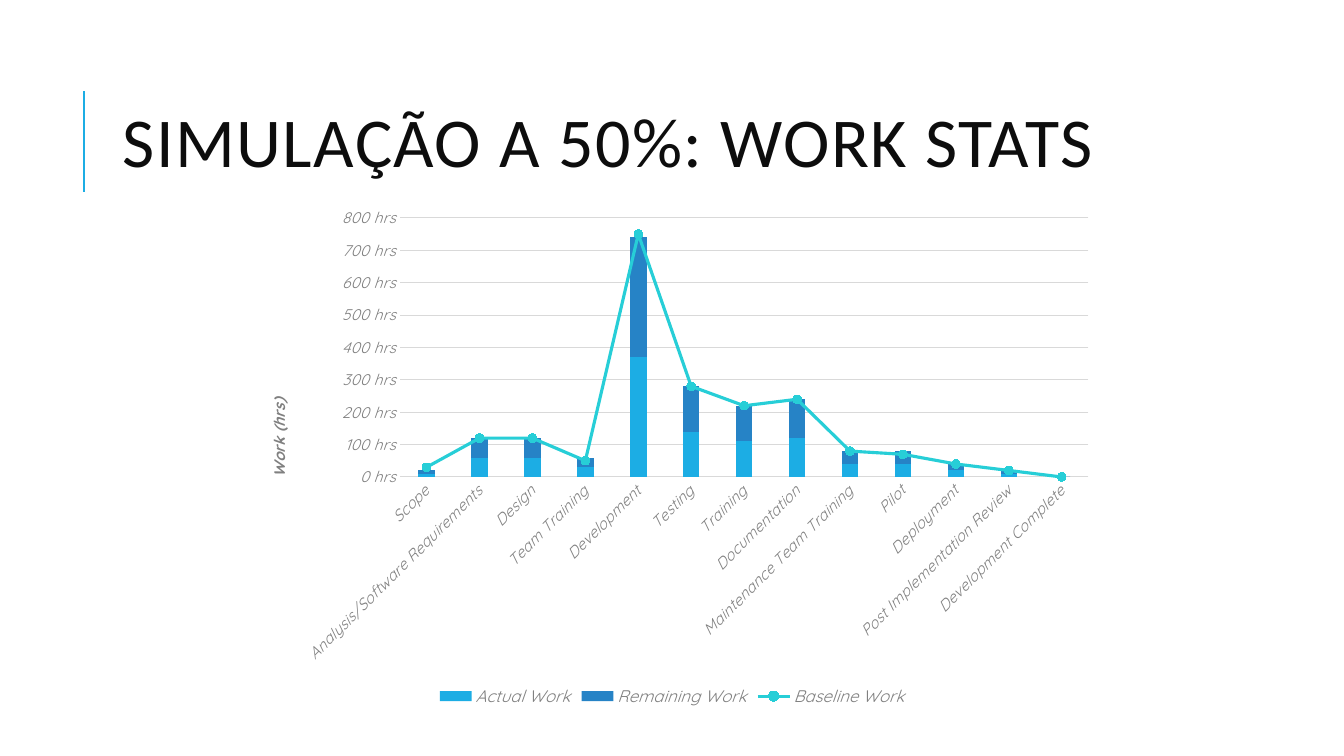
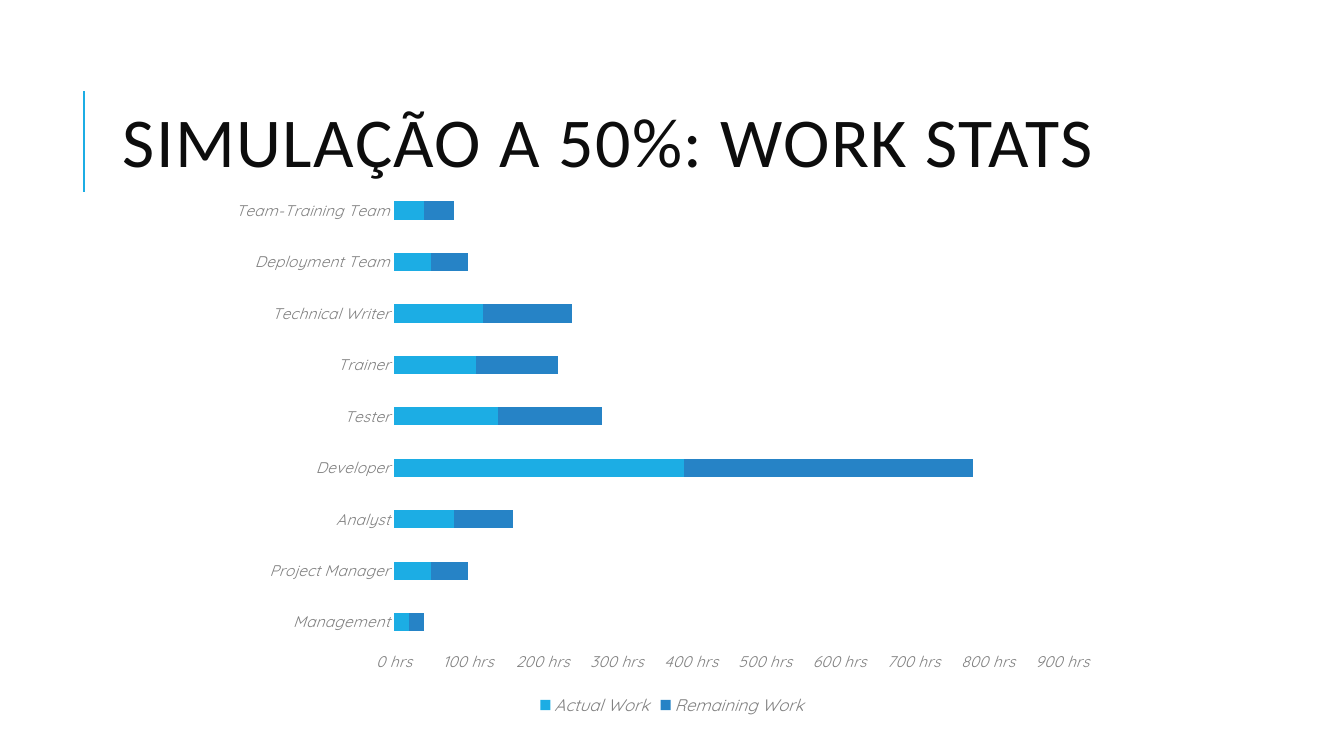
import lxml.etree
import pptx
import pptx.chart.data
import pptx.dml.color
import pptx.enum.chart
import pptx.enum.shapes
import pptx.enum.text
import pptx.oxml
import pptx.oxml.ns
import pptx.util
from dataclasses import dataclass

Pt = pptx.util.Pt
qn = pptx.oxml.ns.qn
rgb = pptx.dml.color.RGBColor.from_string
chart_types = pptx.enum.chart.XL_CHART_TYPE


@dataclass(frozen=True)
class Theme:
    title_color: str = "0D0D0D"
    label_color: str = "808080"
    grid_color: str = "D9D9D9"
    accent: str = "1CADE4"
    remaining: str = "2683C6"
    baseline: str = "27CED7"
    title_font: str = "Calibri"
    chart_font: str = "Quicksand"
    title_size: int = 50
    axis_size: int = 11
    legend_size: int = 12


theme = Theme()
title_text = "SIMULAÇÃO A 50%: WORK STATS"
hours_format = '#,##0_ "hrs"'

# Content of the two slides; plot areas are fractions of the chart frame
phase_hours = [10, 60, 60, 30, 370, 140, 110, 120, 40, 40, 20, 10, 0]
role_hours = [20, 50, 80, 390, 140, 110, 120, 50, 40]
pages = [
    dict(
        kind=chart_types.COLUMN_STACKED,
        frame=(170.6, 141.8, 619.2, 365.8),
        plot_area=dict(x=0.186, y=0.038, w=0.794, h=0.506),
        maximum=800, gap=219, axis_title="Work (hrs)", label_turn=-45,
        categories=["Scope", "Analysis/Software Requirements", "Design",
                    "Team Training", "Development", "Testing", "Training",
                    "Documentation", "Maintenance Team Training", "Pilot",
                    "Deployment", "Post Implementation Review",
                    "Development Complete"],
        series={"Actual Work": phase_hours, "Remaining Work": phase_hours,
                "Baseline Work": [30, 120, 120, 50, 750, 280, 220, 240,
                                  80, 70, 40, 20, 0]},
    ),
    dict(
        kind=chart_types.BAR_STACKED,
        frame=(168.5, 123.8, 622.8, 390.2),
        plot_area=dict(x=0.181, y=0.021, w=0.767, h=0.848),
        maximum=900, gap=182, axis_title=None, label_turn=0,
        categories=["Management", "Project Manager", "Analyst", "Developer",
                    "Tester", "Trainer", "Technical Writer",
                    "Deployment Team", "Team-Training Team"],
        series={"Actual Work": role_hours, "Remaining Work": role_hours},
    ),
]


def style_font(font, size):
    font.name = theme.chart_font
    font.size = Pt(size)
    font.italic = True
    font.color.rgb = rgb(theme.label_color)


def manual_layout(target, **fractions):
    """Place a plot area (x, y, w, h) or a title (x, y) inside its chart."""
    for old in target.findall(qn("c:layout")):
        target.remove(old)
    layout = pptx.oxml.parse_xml(
        f'<c:layout {pptx.oxml.ns.nsdecls("c")}><c:manualLayout/></c:layout>')
    settings = {"xMode": "edge", "yMode": "edge", **fractions}
    if "w" in fractions:
        settings = {"layoutTarget": "inner", **settings}
    for name, value in settings.items():
        lxml.etree.SubElement(layout[0], qn(f"c:{name}")).set("val", str(value))
    text = target.find(qn("c:tx"))
    target.insert(0 if text is None else target.index(text) + 1, layout)


deck = pptx.Presentation()
deck.slide_width, deck.slide_height = Pt(960), Pt(540)

for content in pages:
    page = deck.slides.add_slide(deck.slide_layouts[5])

    # Accent line beside the title
    rule = page.shapes.add_connector(
        pptx.enum.shapes.MSO_CONNECTOR.STRAIGHT, Pt(60), Pt(136.8), Pt(60), Pt(64.8))
    rule.line.color.rgb = rgb(theme.accent)
    rule.line.width = Pt(1.5)
    lxml.etree.SubElement(rule._element.spPr, qn("a:effectLst"))

    # Title
    title = page.shapes.title
    title.left, title.top, title.width, title.height = map(Pt, (80.6, 46, 765.4, 118))
    box = title.text_frame
    box.word_wrap = True
    box.auto_size = pptx.enum.text.MSO_AUTO_SIZE.NONE
    box.vertical_anchor = pptx.enum.text.MSO_ANCHOR.MIDDLE
    para = box.paragraphs[0]
    para.alignment = pptx.enum.text.PP_ALIGN.LEFT
    para.line_spacing = 0.8
    span = para.add_run()
    span.text = title_text
    span.font.name = theme.title_font
    span.font.size = Pt(theme.title_size)
    span.font.color.rgb = rgb(theme.title_color)
    span.font._element.set("spc", "100")

    # Stacked chart
    data = pptx.chart.data.CategoryChartData()
    data.categories = content["categories"]
    for name, values in content["series"].items():
        data.add_series(name, values)
    chart = page.shapes.add_chart(
        content["kind"], *map(Pt, content["frame"]), data).chart
    chart.has_title = False
    style_font(chart.font, theme.axis_size)
    manual_layout(chart._chartSpace.chart.plotArea, **content["plot_area"])

    bars = chart.plots[0]
    bars.gap_width = content["gap"]
    bars.overlap = 100
    bars.vary_by_categories = False
    for series, color in zip(bars.series, (theme.accent, theme.remaining)):
        series.format.fill.solid()
        series.format.fill.fore_color.rgb = rgb(color)

    # Axes and legend
    for axis in (chart.category_axis, chart.value_axis):
        axis.major_tick_mark = pptx.enum.chart.XL_TICK_MARK.NONE
        axis.minor_tick_mark = pptx.enum.chart.XL_TICK_MARK.NONE
        axis.format.line.fill.background()
        axis.has_major_gridlines = False
        style_font(axis.tick_labels.font, theme.axis_size)
    if content["label_turn"]:
        turned = chart.category_axis._element.find(qn("c:txPr")).find(qn("a:bodyPr"))
        turned.set("rot", str(content["label_turn"] * 60000))
        turned.set("vert", "horz")

    hours = chart.value_axis
    hours.minimum_scale, hours.maximum_scale = 0, content["maximum"]
    hours.major_unit = 100
    hours.tick_labels.number_format = hours_format
    hours.tick_labels.number_format_is_linked = False
    if content["axis_title"]:
        hours.has_major_gridlines = True
        hours.major_gridlines.format.line.color.rgb = rgb(theme.grid_color)
        hours.major_gridlines.format.line.width = Pt(0.75)
        frame = hours.axis_title.text_frame
        span = frame.paragraphs[0].add_run()
        span.text = content["axis_title"]
        style_font(span.font, theme.axis_size)
        frame._txBody.bodyPr.set("rot", "-5400000")
        frame._txBody.bodyPr.set("vert", "horz")
        manual_layout(hours.axis_title._element, x=0.03, y=0.384)

    chart.has_legend = True
    chart.legend.position = pptx.enum.chart.XL_LEGEND_POSITION.BOTTOM
    chart.legend.include_in_layout = False
    style_font(chart.legend.font, theme.legend_size)

    # Baseline series drawn as a line over the columns
    if "Baseline Work" in content["series"]:
        columns = bars._element
        baseline = columns.findall(qn("c:ser"))[-1]
        for bar_only in baseline.findall(qn("c:invertIfNegative")):
            baseline.remove(bar_only)
        line_plot = pptx.oxml.parse_xml(
            f'<c:lineChart {pptx.oxml.ns.nsdecls("c")}>'
            '<c:grouping val="standard"/><c:varyColors val="0"/>'
            '<c:marker val="1"/></c:lineChart>')
        line_plot.insert(2, baseline)
        for axis_id in columns.findall(qn("c:axId")):
            lxml.etree.SubElement(line_plot, qn("c:axId")).set("val", axis_id.get("val"))
        columns.addnext(line_plot)

        line = chart.plots[1].series[0]
        line.smooth = False
        line.format.line.color.rgb = rgb(theme.baseline)
        line.format.line.width = Pt(2.25)
        line.marker.style = pptx.enum.chart.XL_MARKER_STYLE.CIRCLE
        line.marker.size = 6
        line.marker.format.fill.solid()
        line.marker.format.fill.fore_color.rgb = rgb(theme.baseline)
        line.marker.format.line.color.rgb = rgb(theme.baseline)

deck.save("out.pptx")
